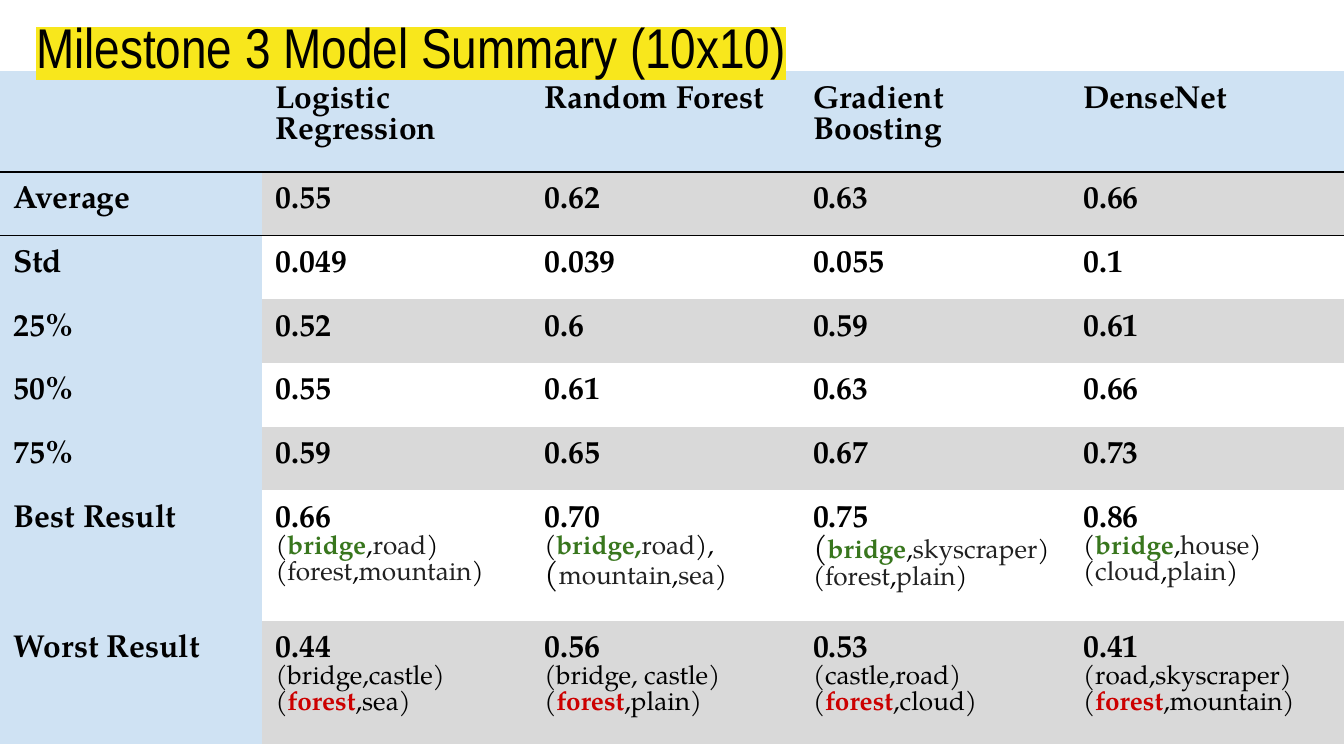
from lxml import etree
from pptx import Presentation
from pptx.dml.color import RGBColor
from pptx.enum.text import MSO_ANCHOR
from pptx.oxml.ns import qn
from pptx.util import Inches, Pt

TOP = MSO_ANCHOR.TOP
COLORS = {
    "black": "000000", "ink": "212121", "white": "FFFFFF", "blue": "CFE2F3",
    "gray": "D9D9D9", "green": "38761D", "red": "CC0000", "yellow": "F8E71C",
}
TITLE_FONT, TABLE_FONT = "Arial Narrow", "TeX Gyre Pagella"
PLAIN_TABLE = "{2D5ABB26-0587-4C30-8999-92F81FD0307C}"
LARGE, SMALL = 17, 14

COLUMN_WIDTHS = [1.95, 2, 2, 2.01, 2.04]
ROW_HEIGHTS = [0.75] + [2.37 / 5] * 5 + [0.97, 0.92]
ROW_BORDERS = {0: "a:lnB", 1: "a:lnT"}


def span(text, size=LARGE, bold=True, color="black"):
    return {"text": text, "size": size, "bold": bold, "color": color}


def small(text, color="black", bold=False):
    return span(text, SMALL, bold, color)


def pair(first, second, opening=SMALL, comma="black", end=")"):
    """Spans of a best pair, with bridge in bold green."""
    is_bridge = first == "bridge"
    return [
        span("(", opening, False),
        small(first, "green" if is_bridge else "ink", is_bridge),
        small(",", comma, comma == "green"),
        small(second, "ink"),
        small(end),
    ]


def worst(score, first_pair, partner):
    """Paragraphs of a worst result, with forest in bold red."""
    return [
        [span(score)],
        [small(first_pair)],
        [small("("), small("forest", "red", True), small(f",{partner})")],
    ]


def lines(text):
    return [[span(line)] for line in text.split("\n")]


SCORES = [
    ["", "Logistic\nRegression", "Random Forest", "Gradient Boosting", "DenseNet"],
    ["Average", "0.55", "0.62", "0.63", "0.66"],
    ["Std", "0.049", "0.039", "0.055", "0.1"],
    ["25%", "0.52", "0.6", "0.59", "0.61"],
    ["50%", "0.55", "0.61", "0.63", "0.66"],
    ["75%", "0.59", "0.65", "0.67", "0.73"],
]
BEST = [
    lines("Best Result"),
    [[span("0.66")], pair("bridge", "road"), pair("forest", "mountain")],
    [[span("0.70")], pair("bridge", "road", comma="green", end="),"),
     pair("mountain", "sea", opening=LARGE)],
    [[span("0.75")], pair("bridge", "skyscraper", opening=LARGE),
     pair("forest", "plain")],
    [[span("0.86")], pair("bridge", "house"), pair("cloud", "plain")],
]
WORST = [
    lines("Worst Result"),
    worst("0.44", "(bridge,castle)", "sea"),
    worst("0.56", "(bridge, castle)", "plain"),
    worst("0.53", "(castle,road)", "cloud"),
    worst("0.41", "(road,skyscraper)", "mountain"),
]


def rgb(name):
    return RGBColor.from_string(COLORS[name])


def add_color(parent, tag, name):
    holder = etree.SubElement(parent, qn(tag))
    etree.SubElement(holder, qn("a:srgbClr"), val=COLORS[name])
    return holder


def write_span(para, text, font, size, bold=False, color="black", highlight=None):
    run = para.add_run()
    run.text = text
    run.font.name = font
    run.font.size = Pt(size)
    run.font.bold = bold
    run.font.color.rgb = rgb(color)
    if highlight:
        properties = run.font._element
        marker = add_color(properties, "a:highlight", highlight)
        properties.find(qn("a:solidFill")).addnext(marker)


def add_border(cell, side):
    properties = cell._tc.get_or_add_tcPr()
    line = etree.Element(qn(side), w=str(Pt(0.75)))
    add_color(line, "a:solidFill", "black")
    properties.insert(0, line)


def cell_color(row, column):
    if row == 0 or column == 0:
        return "blue"
    return "gray" if row % 2 else "white"


class SlideBuilder:
    def __init__(self, deck):
        self.page = deck.slides.add_slide(deck.slide_layouts[6])

    def title(self, text, left, top, width, height):
        box = self.page.shapes.add_textbox(
            Inches(left), Inches(top), Inches(width), Inches(height))
        frame = box.text_frame
        frame.word_wrap = True
        frame.vertical_anchor = TOP
        frame.margin_left = frame.margin_right = Inches(0.1)
        frame.margin_top = frame.margin_bottom = Inches(0.1)
        write_span(frame.paragraphs[0], text, TITLE_FONT, 30, highlight="yellow")

    def cell(self, cell, paragraphs, fill):
        cell.margin_left = cell.margin_right = Inches(0.1)
        cell.margin_top = cell.margin_bottom = Inches(0.1)
        cell.vertical_anchor = TOP
        cell.fill.solid()
        cell.fill.fore_color.rgb = rgb(fill)
        frame = cell.text_frame
        for index, spans in enumerate(paragraphs):
            para = frame.add_paragraph() if index else frame.paragraphs[0]
            para.line_spacing = Pt(max(item["size"] for item in spans))
            for item in spans:
                if item["text"]:
                    write_span(para, font=TABLE_FONT, **item)

    def table(self, rows, left, top):
        frame = self.page.shapes.add_table(
            len(rows), len(COLUMN_WIDTHS), Inches(left), Inches(top),
            Inches(sum(COLUMN_WIDTHS)), Inches(sum(ROW_HEIGHTS)))
        table = frame.table
        table.first_row = table.horz_banding = False
        next(frame.element.iter(qn("a:tableStyleId"))).text = PLAIN_TABLE
        for column, width in zip(table.columns, COLUMN_WIDTHS):
            column.width = Inches(width)
        for row, height in zip(table.rows, ROW_HEIGHTS):
            row.height = Inches(height)
        for row, contents in enumerate(rows):
            for column, paragraphs in enumerate(contents):
                cell = table.cell(row, column)
                self.cell(cell, paragraphs, cell_color(row, column))
                if row in ROW_BORDERS:
                    add_border(cell, ROW_BORDERS[row])


def main():
    deck = Presentation()
    deck.slide_width = Inches(10)
    deck.slide_height = deck.slide_width * 9 // 16
    builder = SlideBuilder(deck)
    rows = [[lines(text) for text in row] for row in SCORES] + [BEST, WORST]
    builder.table(rows, 0, 0.53)
    builder.title("Milestone 3 Model Summary (10x10)", 0.17, -0.01, 9.32, 0.63)
    deck.save("out.pptx")


if __name__ == "__main__":
    main()
